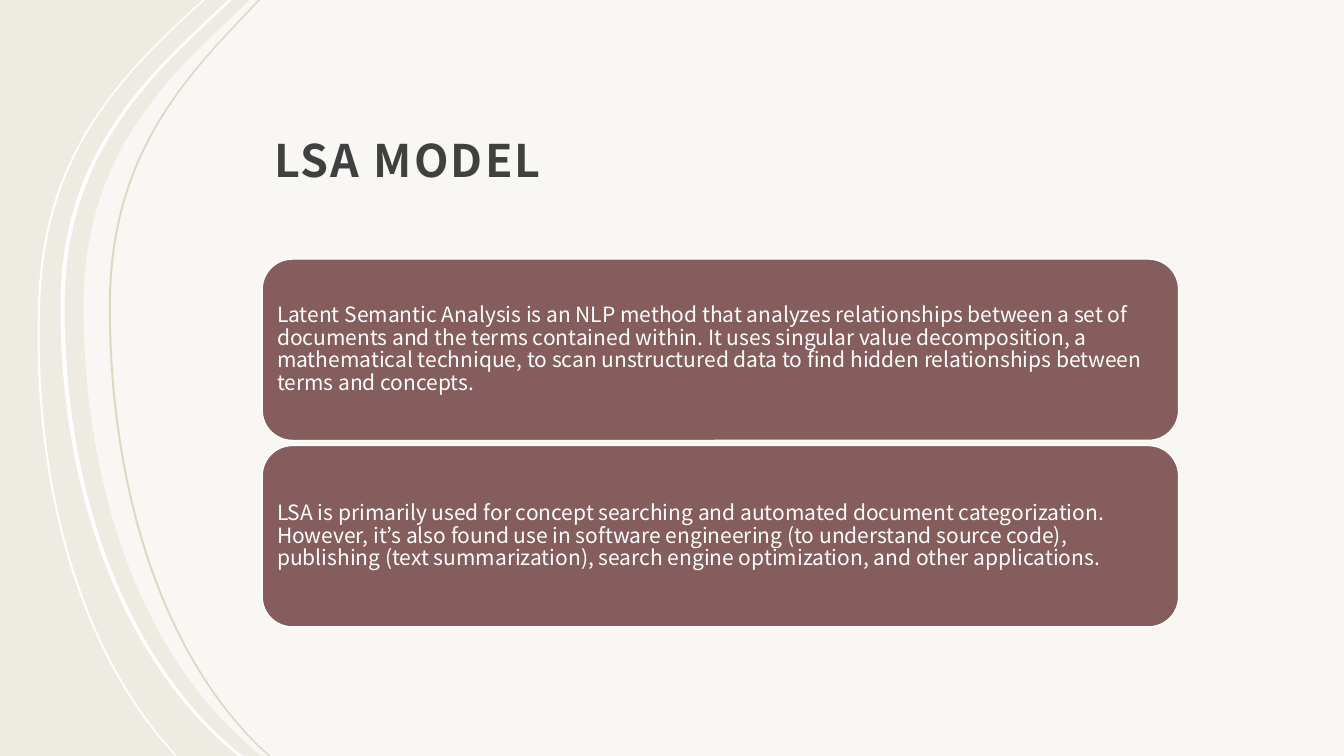
import pptx
import pptx.util
import pptx.dml.color
import pptx.enum.shapes
import pptx.enum.text
import pptx.oxml.ns
import lxml.etree
from pptx.util import Inches, Pt

SLIDE_W, SLIDE_H = 13.33, 7.5
FONT = "Noto Sans CJK JP"
COLORS = {"background": "EEEBE2", "white": "FFFFFF", "sand": "DDD7C5",
          "card": "855D5D", "title": "404040"}

TITLE = "LSA MODEL"
CARDS = [
    "Latent Semantic Analysis is an NLP method that analyzes relationships between a set of "
    "documents and the terms contained within. It uses singular value decomposition, a "
    "mathematical technique, to scan unstructured data to find hidden relationships between "
    "terms and concepts.",
    "LSA is primarily used for concept searching and automated document categorization. "
    "However, it’s also found use in software engineering (to understand source code), "
    "publishing (text summarization), search engine optimization, and other applications.",
]

# Each edge: top point, curve start, two cubic curves, bottom point
OUTER_Y = [0, 0.24, 0.93, 1.68, 2.97, 4.8, 6.45, 7.47, 7.5]
INNER_Y = [0, 0.35, 1.04, 1.79, 3.04, 4.92, 6.57, 7.48, 7.5]
PANEL_X = [2.48, 2.11, 1.39, 0.83, 0.83, 0.83, 1.45, 2.57, 2.59]
RIBBONS = [  # x values, y values, width, color
    ([2.01, 1.75, 1.02, 0.43, 0.38, 0.31, 0.78, 1.71, 1.73], OUTER_Y, 0.02, "white"),
    ([2.26, 1.89, 1.17, 0.6, 0.6, 0.6, 1.23, 2.34, 2.37], INNER_Y, 0.04, "white"),
    ([2.56, 2.23, 1.59, 1.08, 1.08, 1.08, 1.64, 2.64, 2.66], INNER_Y, 0.02, "sand"),
]
CARD_LEFT, CARD_TOP, CARD_W, CARD_H, CARD_GAP = 2.6, 2.57, 9.09, 1.8, 0.05


def rgb(name):
    return pptx.dml.color.RGBColor.from_string(COLORS[name])


def edge(points):
    """Group nine points into line (one point) and cubic (three point) segments."""
    return [points[0:1], points[1:2], points[2:5], points[5:8], points[8:9]]


def add_outline(segments, color):
    segments = [[(Inches(x), Inches(y)) for x, y in segment] for segment in segments]
    builder = slide.shapes.build_freeform(*segments[0][0])
    builder.add_line_segments([segment[-1] for segment in segments[1:]], close=True)
    outline = builder.convert_to_shape()
    # Turn the three point segments into cubic curves
    lines = list(outline._element.iter(pptx.oxml.ns.qn("a:lnTo")))
    for line, segment in zip(lines, segments[1:]):
        if len(segment) == 3:
            curve = lxml.etree.Element(pptx.oxml.ns.qn("a:cubicBezTo"))
            for x, y in segment:
                lxml.etree.SubElement(curve, pptx.oxml.ns.qn("a:pt"),
                                      x=str(x - outline.left), y=str(y - outline.top))
            line.getparent().replace(line, curve)
    outline.shadow.inherit = False
    outline.fill.solid()
    outline.fill.fore_color.rgb = rgb(color)
    outline.line.fill.background()
    return outline


def write(shape, text, *, size, color, anchor, insets, spacing, bold=False, tracking=0):
    frame = shape.text_frame
    frame.word_wrap = True
    frame.vertical_anchor = anchor
    (frame.margin_left, frame.margin_top,
     frame.margin_right, frame.margin_bottom) = map(Inches, insets)
    paragraph = frame.paragraphs[0]
    paragraph.alignment = pptx.enum.text.PP_ALIGN.LEFT
    paragraph.line_spacing = spacing
    run = paragraph.add_run()
    run.text = text
    run.font.name, run.font.size, run.font.bold = FONT, Pt(size), bold
    run.font.color.rgb = rgb(color)
    if tracking:
        run.font._element.set("spc", str(int(tracking * 100)))


deck = pptx.Presentation()
deck.slide_width, deck.slide_height = Inches(SLIDE_W), Inches(SLIDE_H)
slide = deck.slides.add_slide(deck.slide_layouts[6])
slide.background.fill.solid()
slide.background.fill.fore_color.rgb = rgb("background")

# Translucent panel right of the curve
panel_edge = edge(list(zip(PANEL_X, INNER_Y)))
panel = add_outline(panel_edge + [[(SLIDE_W, SLIDE_H)], [(SLIDE_W, 0)]], "white")
panel_color = panel._element.find(".//" + pptx.oxml.ns.qn("a:srgbClr"))
lxml.etree.SubElement(panel_color, pptx.oxml.ns.qn("a:alpha"), val="60000")

# Curved ribbons
for xs, ys, width, color in RIBBONS:
    left_side = list(zip(xs, ys))
    right_side = [(x + width, y) for x, y in reversed(left_side)]
    add_outline(edge(left_side) + edge(right_side), color)

# Title
title = slide.shapes.add_textbox(Inches(2.6), Inches(0.48), Inches(9.18), Inches(1.47))
write(title, TITLE, size=32, color="title", anchor=pptx.enum.text.MSO_ANCHOR.BOTTOM,
      insets=(0.12, 0.12, 0.12, 0.1), spacing=1.3, bold=True, tracking=1.5)

# Cards
for index, text in enumerate(CARDS):
    top = CARD_TOP + index * (CARD_H + CARD_GAP)
    card = slide.shapes.add_shape(
        pptx.enum.shapes.MSO_SHAPE.ROUNDED_RECTANGLE,
        Inches(CARD_LEFT), Inches(top), Inches(CARD_W), Inches(CARD_H))
    card.shadow.inherit = False
    card.fill.solid()
    card.fill.fore_color.rgb = rgb("card")
    card.line.color.rgb = rgb("white")
    card.line.width = Pt(1)
    write(card, text, size=15, color="white", anchor=pptx.enum.text.MSO_ANCHOR.MIDDLE,
          insets=(0.06,) * 4, spacing=0.9)

deck.save("out.pptx")
